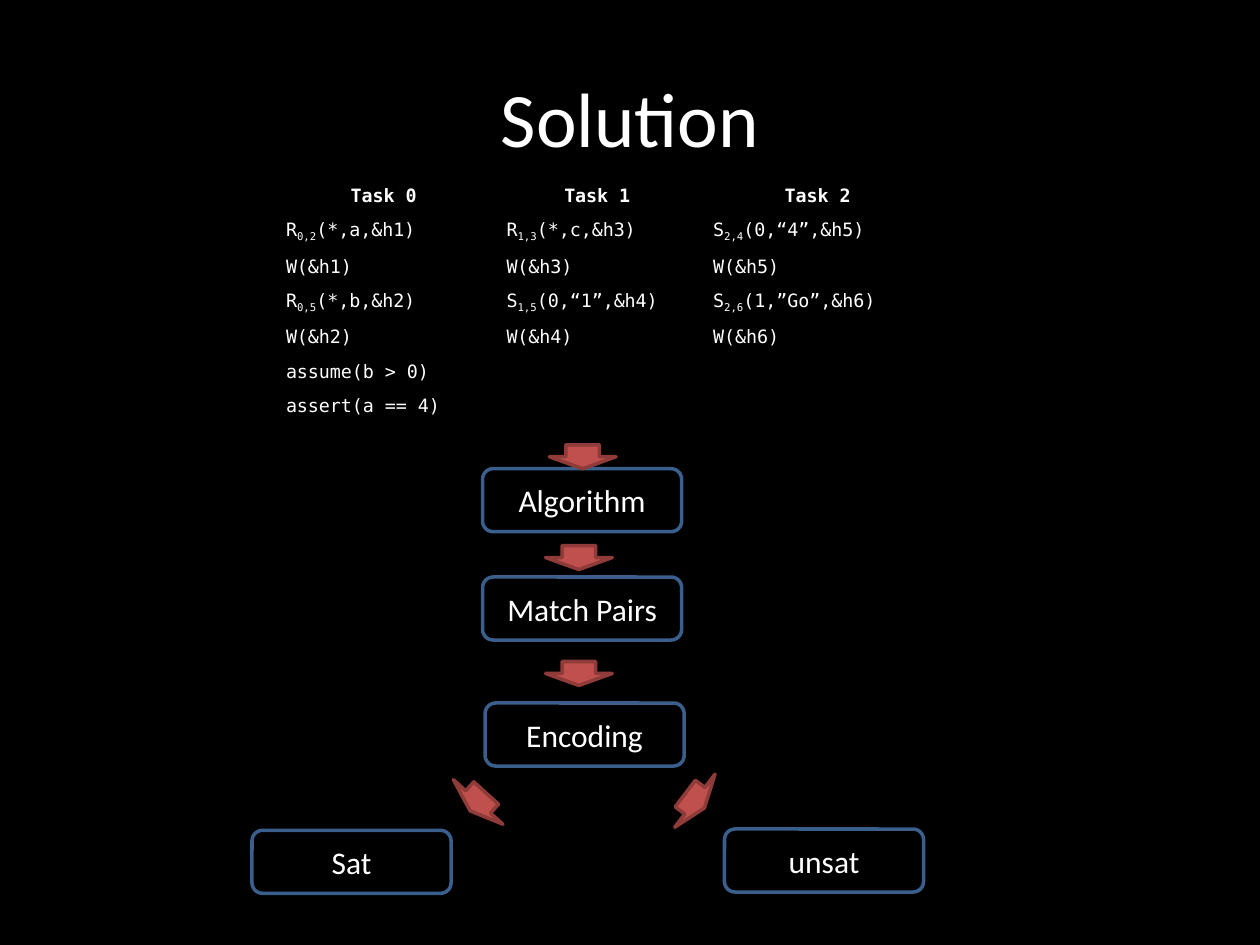
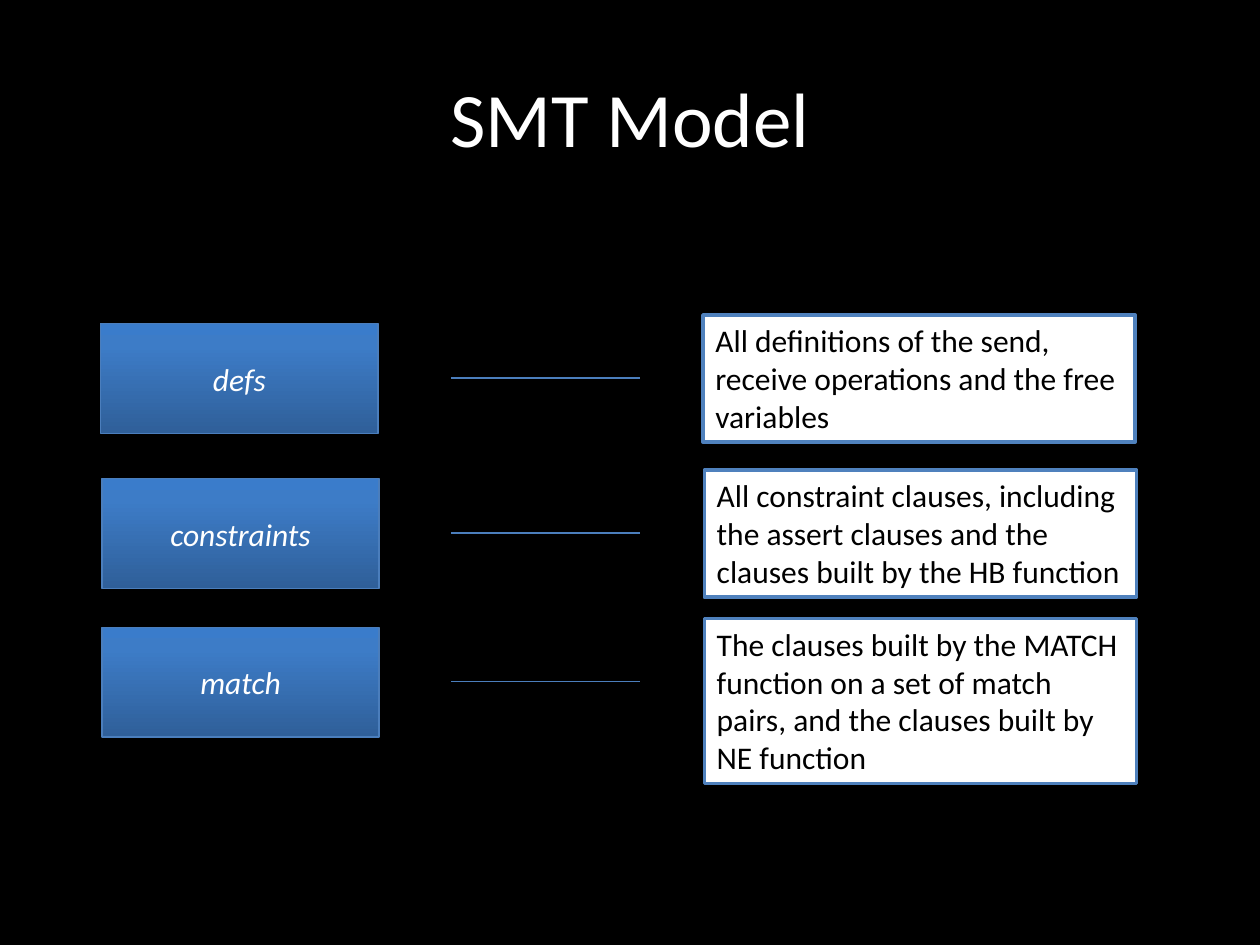
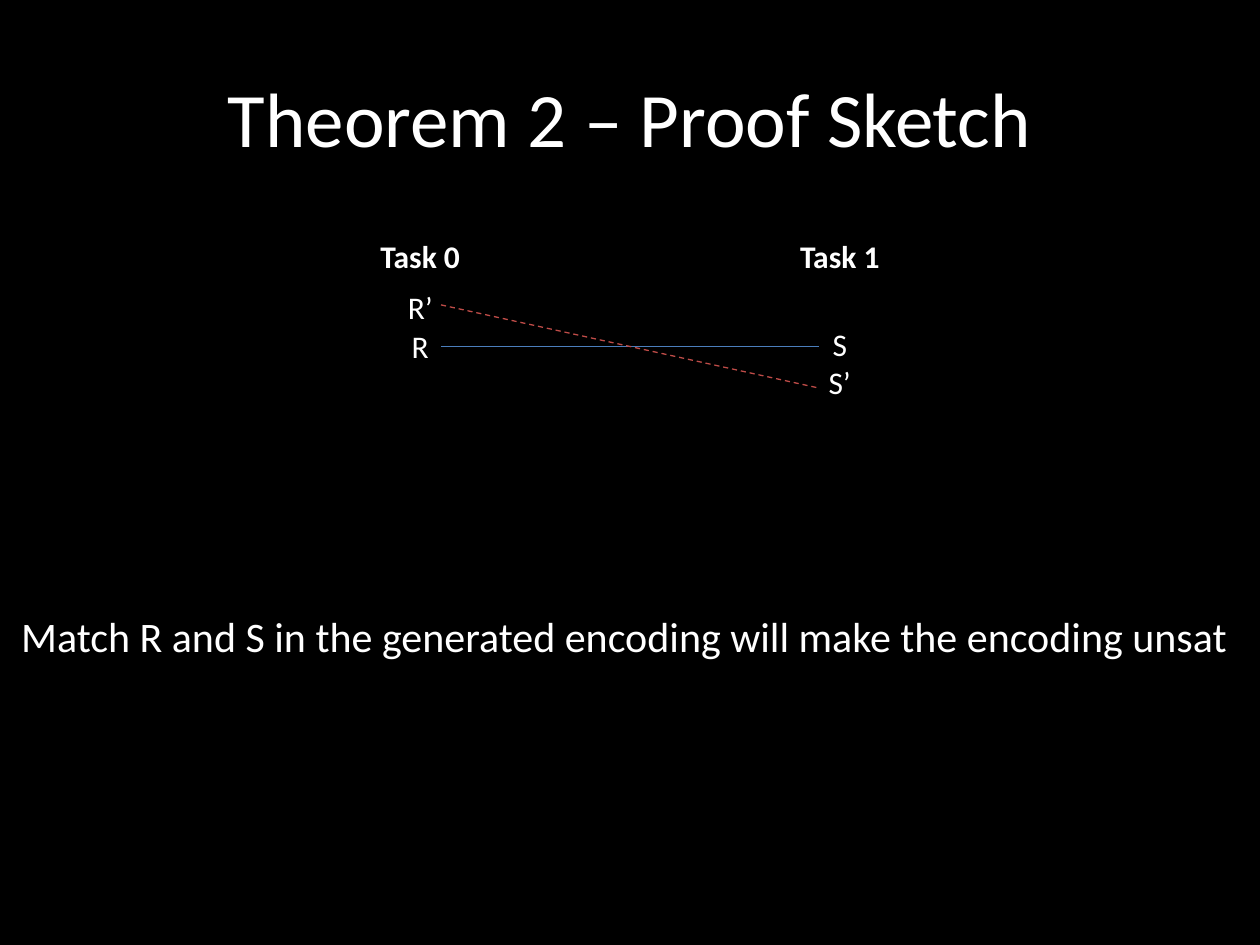
from copy import deepcopy
from dataclasses import dataclass

from lxml.etree import SubElement
from pptx import Presentation
from pptx.dml.color import RGBColor
from pptx.enum.dml import MSO_LINE
from pptx.enum.shapes import MSO_CONNECTOR, MSO_SHAPE
from pptx.enum.text import MSO_ANCHOR, MSO_AUTO_SIZE, PP_ALIGN
from pptx.oxml.ns import qn
from pptx.util import Inches, Pt


@dataclass(frozen=True)
class Theme:
    # Colours
    back: str = "000000"
    text: str = "FFFFFF"
    panel: str = "FFFFFF"
    ink: str = "000000"
    edge: str = "3A5F8C"
    frame: str = "4F81BD"
    link: str = "4B7EBC"
    arrow: str = "C0504D"
    rim: str = "8E3B39"
    cross: str = "BF4C48"
    shade: tuple = ((0, "2F5F99"), (0.8, "3D7CC7"), (1, "3A7CCB"))
    # Type
    sans: str = "Calibri"
    mono: str = "DejaVu Sans Mono"
    head: float = 44
    note: float = 24
    body: float = 18
    code: float = 10.5
    # Lines and tables
    thick: float = 2
    thin: float = 0.75
    plain: str = "{2D5ABB26-0587-4C30-8999-92F81FD0307C}"


def rgb(code):
    return RGBColor.from_string(code)


def place(*sizes):
    return [Inches(size) for size in sizes]


class Deck:
    def __init__(self, theme):
        self.theme = theme
        self.show = Presentation()
        self.show.slide_width, self.show.slide_height = place(10, 7.5)
        fill = self.show.slide_master.background.fill
        fill.solid()
        fill.fore_color.rgb = rgb(theme.back)
        self.slide = None

    def page(self, title):
        self.slide = self.show.slides.add_slide(self.show.slide_layouts[5])
        head = self.slide.shapes.title
        head.left, head.top, head.width, head.height = place(0.5, 0.3, 9, 1.25)
        head.text_frame.vertical_anchor = MSO_ANCHOR.MIDDLE
        self.words(head.text_frame, title, size=self.theme.head)

    def words(self, frame, text, size=None, color=None, face=None,
              align=PP_ALIGN.CENTER, bold=False, slant=False):
        """One paragraph per line; parts between underscores are subscripts."""
        size = Pt(size or self.theme.body)
        for num, line in enumerate(text.split("\n")):
            para = frame.add_paragraph() if num else frame.paragraphs[0]
            para.alignment = align
            if not line:
                SubElement(para._p, qn("a:endParaRPr"), sz=str(size.centipoints))
                continue
            for spot, part in enumerate(line.split("_")):
                run = para.add_run()
                run.text = part
                font = run.font
                font.size, font.bold, font.italic = size, bold, slant
                font.name = face or self.theme.sans
                font.color.rgb = rgb(color or self.theme.text)
                if spot % 2:
                    font._element.set("baseline", "-25000")

    def shape(self, kind, box, line, width, fill=None, turn=0):
        item = self.slide.shapes.add_shape(kind, *place(*box))
        item.shadow.inherit = False
        item.rotation = turn
        item.line.color.rgb = rgb(line)
        item.line.width = Pt(width)
        if fill:
            item.fill.solid()
            item.fill.fore_color.rgb = rgb(fill)
        else:
            item.fill.background()
        return item

    def step(self, left, top, text):
        item = self.shape(MSO_SHAPE.ROUNDED_RECTANGLE, (left, top, 1.58, 0.5),
                          self.theme.edge, self.theme.thick)
        self.words(item.text_frame, text)

    def arrow(self, left, top, turn=0):
        self.shape(MSO_SHAPE.DOWN_ARROW, (left, top, 0.53, 0.19),
                   self.theme.rim, self.theme.thick, self.theme.arrow, turn)

    def term(self, left, top, text):
        item = self.shape(MSO_SHAPE.RECTANGLE, (left, top, 2.2, 0.87),
                          self.theme.link, self.theme.thin)
        item.fill.gradient()
        item.fill.gradient_angle = 90
        stops = item._element.spPr.find(".//" + qn("a:gsLst"))
        stops.append(deepcopy(stops[-1]))
        for stop, (spot, color) in zip(item.fill.gradient_stops, self.theme.shade):
            stop.position = spot
            stop.color.rgb = rgb(color)
        self.words(item.text_frame, text, slant=True)

    def panel(self, left, top, height, text):
        item = self.shape(MSO_SHAPE.RECTANGLE, (left, top, 3.43, height),
                          self.theme.frame, self.theme.thick, self.theme.panel)
        frame = item.text_frame
        frame.word_wrap = True
        frame.auto_size = MSO_AUTO_SIZE.SHAPE_TO_FIT_TEXT
        frame.vertical_anchor = MSO_ANCHOR.TOP
        self.words(frame, text, color=self.theme.ink, align=PP_ALIGN.LEFT)

    def line(self, start, end, color=None, dash=None):
        item = self.slide.shapes.add_connector(
            MSO_CONNECTOR.STRAIGHT, *place(*start, *end))
        item.line.color.rgb = rgb(color or self.theme.link)
        item.line.width = Pt(self.theme.thin)
        if dash:
            item.line.dash_style = dash
        SubElement(item._element.spPr, qn("a:effectLst"))

    def note(self, box, text):
        frame = self.slide.shapes.add_textbox(*place(*box)).text_frame
        frame.word_wrap = False
        frame.auto_size = MSO_AUTO_SIZE.SHAPE_TO_FIT_TEXT
        self.words(frame, text, size=self.theme.note, align=PP_ALIGN.LEFT)

    def table(self, left, top, cols, rows, data, align, **style):
        """The first row is a bold, centred header; align is for the rest."""
        item = self.slide.shapes.add_table(
            len(rows), len(cols), *place(left, top, sum(cols), sum(rows)))
        grid = item.table
        grid.first_row = grid.horz_banding = False
        grid._tbl.tblPr.find(qn("a:tableStyleId")).text = self.theme.plain
        for col, width in zip(grid.columns, cols):
            col.width = Inches(width)
        for num, (row, height) in enumerate(zip(grid.rows, rows)):
            row.height = Inches(height)
            for cell, text in zip(row.cells, data[num]):
                cell.fill.solid()
                cell.fill.fore_color.rgb = rgb(self.theme.back)
                self.words(cell.text_frame, text, bold=num == 0,
                           align=align if num else PP_ALIGN.CENTER, **style)
        return grid


def solve(deck):
    deck.page("Solution")
    # Flow from the program to the verdict
    for left, top, text in (
            (3.83, 3.72, "Algorithm"), (3.85, 5.58, "Encoding"),
            (3.83, 4.58, "Match Pairs"), (2, 6.59, "Sat"), (5.75, 6.58, "unsat")):
        deck.step(left, top, text)
    for spot in ((4.36, 3.53), (4.33, 4.33), (4.33, 5.25),
                 (3.53, 6.27, 42), (5.25, 6.26, 307.2)):
        deck.arrow(*spot)
    # Program of each task
    tasks = (
        ("Task 0", "Task 1", "Task 2"),
        ("R_0,2_(*,a,&h1)", "R_1,3_(*,c,&h3)", "S_2,4_(0,“4”,&h5)"),
        ("W(&h1)", "W(&h3)", "W(&h5)"),
        ("R_0,5_(*,b,&h2)", "S_1,5_(0,“1”,&h4)", "S_2,6_(1,”Go”,&h6)"),
        ("W(&h2)", "W(&h4)", "W(&h6)"),
        ("assume(b > 0)", "", ""),
        ("assert(a == 4)", "", ""),
    )
    deck.table(2.17, 1.42, (1.75, 1.64, 1.86), [0.22] * len(tasks), tasks,
               PP_ALIGN.LEFT, size=deck.theme.code, face=deck.theme.mono)


def model(deck):
    deck.page("SMT Model")
    # Each term, its link and its meaning
    for left, top, height, term, text in (
            (0.8, 2.57, 1.01, "defs",
             "All definitions of the send, receive operations and the free variables"),
            (0.81, 3.8, 1.01, "constraints",
             "All constraint clauses, including the assert clauses and the "
             "clauses built by the HB function"),
            (0.81, 4.98, 1.31, "match",
             "The clauses built by the MATCH function on a set of match pairs, "
             "and the clauses built by NE function")):
        deck.term(left, top, term)
        deck.line((3.58, top + 0.43), (5.08, top + 0.43))
        deck.panel(left + 4.78, top - 0.07, height, text)


def proof(deck):
    deck.page("Theorem 2 – Proof Sketch")
    # Tasks, with the sends set one line lower
    grid = deck.table(1.67, 1.84, (3.33, 3.33), (0.41, 1),
                      (("Task 0", "Task 1"), ("R’\nR", "S\nS’")), PP_ALIGN.CENTER)
    grid.cell(1, 1).vertical_anchor = MSO_ANCHOR.BOTTOM
    # Matches
    deck.line((3.5, 2.75), (6.5, 2.75))
    deck.line((3.5, 2.42), (6.5, 3.08), deck.theme.cross, MSO_LINE.DASH)
    deck.note((0.07, 4.8, 9.86, 0.5),
              "Match R and S in the generated encoding will make the encoding unsat")


def main():
    deck = Deck(Theme())
    for build in (solve, model, proof):
        build(deck)
    deck.show.save("out.pptx")


if __name__ == "__main__":
    main()
